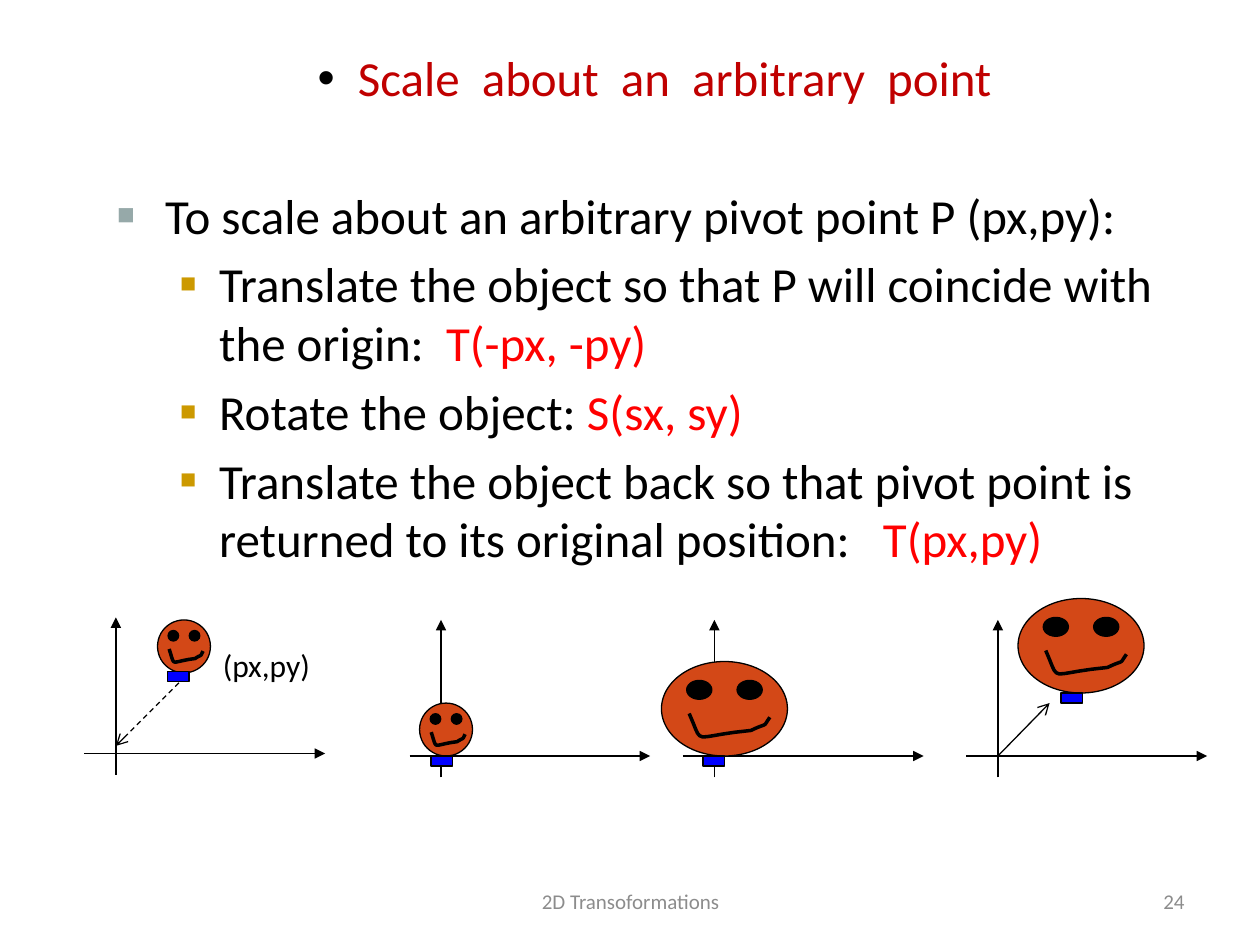
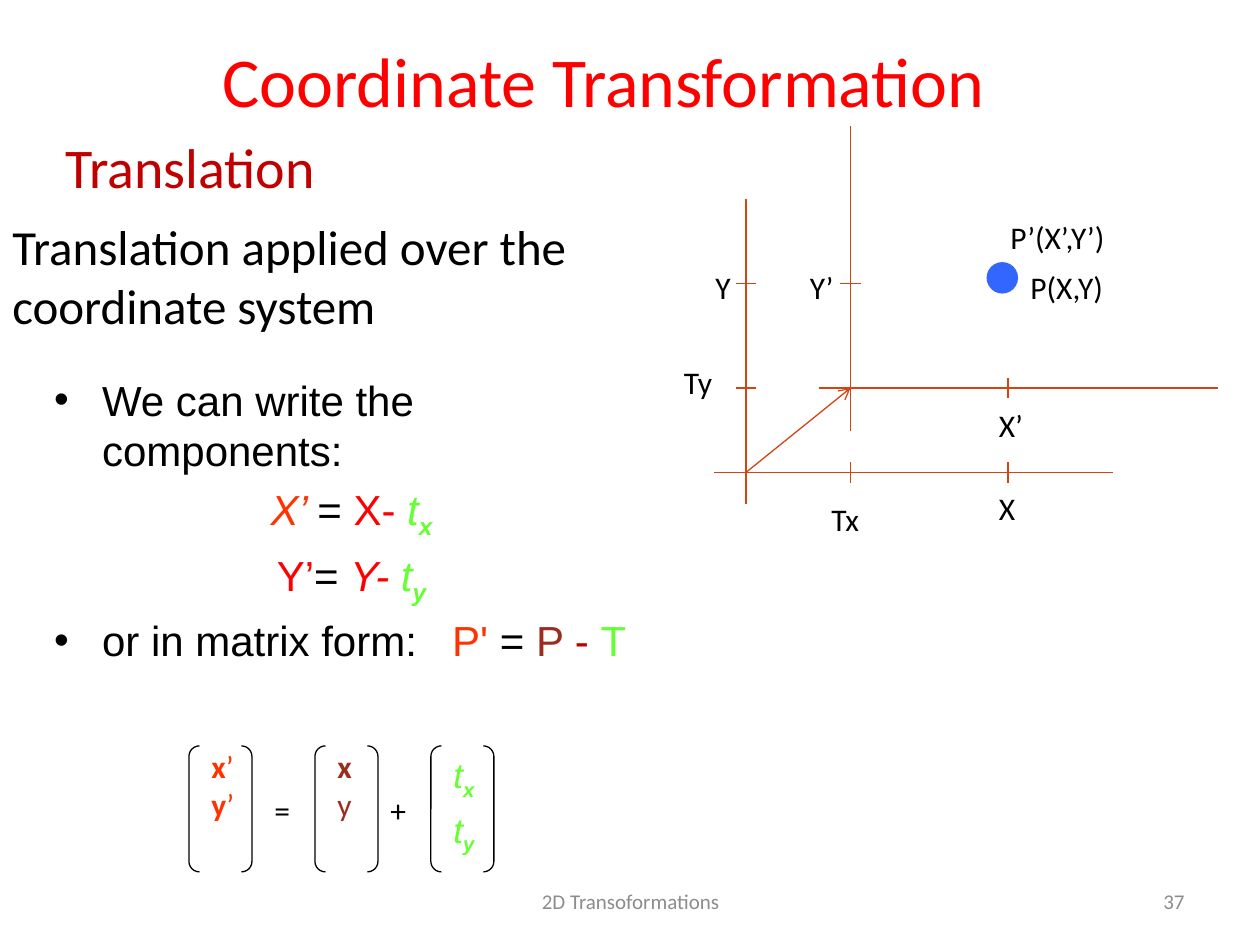
from lxml.etree import SubElement
from pptx import Presentation
from pptx.dml.color import RGBColor
from pptx.enum.dml import MSO_LINE
from pptx.enum.shapes import MSO_CONNECTOR, MSO_SHAPE
from pptx.enum.text import MSO_ANCHOR, MSO_AUTO_SIZE, PP_ALIGN
from pptx.oxml.ns import qn
from pptx.util import Inches, Pt

COLORS = {
    "black": "000000", "red": "FF0000", "dark red": "C00000", "gray": "8C8C8C",
    "face": "D34817", "neck": "0000FF", "axis": "D34412", "dot": "3366FF",
    "orange": "FF3300", "green": "66FF33", "brown": "9B2D1F",
    "gray bullet": "96A9A9", "gold bullet": "CC9900",
}
COLORS = {name: RGBColor.from_string(value) for name, value in COLORS.items()}


def write(frame, paragraphs, size, font="Calibri", align=None):
    """Fill a text frame with paragraphs of (text, color, style) spans."""
    frame.word_wrap = True
    frame.auto_size = MSO_AUTO_SIZE.NONE
    frame.vertical_anchor = MSO_ANCHOR.TOP
    for index, spans in enumerate(paragraphs):
        para = frame.add_paragraph() if index else frame.paragraphs[0]
        para.alignment = align
        for text, color, style in spans:
            span = para.add_run()
            span.text = text
            span.font.name, span.font.size = font, Pt(size)
            span.font.color.rgb = COLORS[color]
            span.font.bold = "b" in style
            span.font.italic = "i" in style
            if "sub" in style:
                span._r.get_or_add_rPr().set("baseline", "-25000")


def draw_line(page, start, end, color="black", head=None):
    """Draw a thin straight line, with an arrowhead at its end if one is named."""
    line = page.shapes.add_connector(
        MSO_CONNECTOR.STRAIGHT, *[Inches(value) for value in (*start, *end)])
    line.line.color.rgb = COLORS[color]
    line.line.width = Pt(0.75)
    if head:
        SubElement(line.line._get_or_add_ln(), qn("a:tailEnd"), type=head)
    SubElement(line._element.spPr, qn("a:effectLst"))
    return line


deck = Presentation()
deck.slide_width, deck.slide_height = Inches(10), Inches(7.5)
scale_page, translate_page = [
    deck.slides.add_slide(deck.slide_layouts[1]) for _ in range(2)]

# Titles and lists
scale_list = [
    [("To scale about an arbitrary pivot point P (px,py):", "black", "")],
    [("Translate the object so that P will coincide with the origin:  ", "black", ""),
     ("T(-px, -py)", "red", "")],
    [("Rotate the object: ", "black", ""), ("S(sx, sy)", "red", "")],
    [("Translate the object back so that pivot point is returned to its "
      "original position:   ", "black", ""), ("T(px,py)", "red", "")],
]
translate_list = [
    [("We can write the components:", "black", "")],
    [("X’ ", "orange", "i"), ("= ", "black", ""), ("X- ", "red", ""),
     ("t", "green", "i"), ("x", "green", "i sub")],
    [("Y’", "red", ""), ("= ", "black", ""), ("Y- ", "red", "i"),
     ("t", "green", "i"), ("y", "green", "i sub")],
    [("or in matrix form:   ", "black", ""), ("P' ", "orange", ""),
     ("= ", "black", ""), ("P ", "brown", ""), ("- ", "dark red", ""),
     ("T", "green", "")],
]
placeholders = [
    (scale_page.shapes.title, (2.42, 0.33, 5.83, 0.88),
     [[("Scale  about  an  arbitrary  point", "dark red", "")]], 28, "Calibri", PP_ALIGN.LEFT),
    (scale_page.placeholders[1], (0.83, 1.42, 8.5, 5.42),
     scale_list, 28, "Calibri", PP_ALIGN.LEFT),
    (translate_page.shapes.title, (1.25, 0.25, 7.08, 0.77),
     [[("Coordinate Transformation", "red", "")]], 40, "Calibri", PP_ALIGN.CENTER),
    (translate_page.placeholders[1], (0.33, 2.92, 4.92, 2.67),
     translate_list, 24, "Arial", PP_ALIGN.LEFT),
]
for holder, place, paragraphs, size, font, align in placeholders:
    holder.left, holder.top, holder.width, holder.height = [Inches(v) for v in place]
    write(holder.text_frame, paragraphs, size, font, align)

# Bullets: text indent, hanging part, sign, color, percent of the text size
title_para = scale_page.shapes.title.text_frame.paragraphs[0]
scale_paras = scale_page.placeholders[1].text_frame.paragraphs
translate_paras = translate_page.placeholders[1].text_frame.paragraphs
bullets = [(title_para, 0.32, 0.32, "•", "black", 100),
           (scale_paras[0], 0.38, 0.38, "■", "gray bullet", 60)]
for para in scale_paras[1:]:
    para.level = 1
    bullets.append((para, 0.81, 0.31, "■", "gold bullet", 55))
for para in translate_paras:
    equation = para in translate_paras[1:3]
    if equation:
        para.alignment = PP_ALIGN.CENTER
    bullets.append((para, 0.38, 0.38, None if equation else "•", "black", 100))
for para, indent, hang, sign, color, percent in bullets:
    props = para._p.get_or_add_pPr()
    props.set("marL", str(Inches(indent)))
    props.set("indent", str(-Inches(hang)))
    if sign is None:
        SubElement(props, qn("a:buNone"))
        continue
    SubElement(SubElement(props, qn("a:buClr")), qn("a:srgbClr"), val=str(COLORS[color]))
    SubElement(props, qn("a:buSzPct"), val=str(percent * 1000))
    SubElement(props, qn("a:buFont"), typeface="Arial")
    SubElement(props, qn("a:buChar"), char=sign)

# Four steps of the scaling: axes origin, head box, neck corner
steps = [
    ((0.92, 5.98), (1.25, 4.92, 0.42, 0.42), (1.33, 5.33)),
    ((3.5, 6), (3.33, 5.58, 0.42, 0.42), (3.42, 6)),
    ((5.67, 6), (5.25, 5.25, 1, 0.75), (5.58, 6)),
    ((7.92, 6), (8.08, 4.75, 1, 0.75), (8.42, 5.5)),
]
# Mouth as two Bezier curves, in fractions of the head
mouth_curves = [
    ((0.22, 0.55), (0.34, 0.91), (0.22, 0.79), (0.71, 0.73)),
    ((0.71, 0.73), (0.85, 0.64), (0.8, 0.71), (0.86, 0.59)),
]
for (x, y), (left, top, width, height), neck in steps:
    draw_line(scale_page, (x - 0.25, y), (x + 1.66, y), head="triangle")
    draw_line(scale_page, (x, y + 0.17), (x, y - 1.08), head="triangle")

    parts = [(MSO_SHAPE.OVAL, "face", (left, top, width, height))]
    for eye in (0.2, 0.6):
        parts.append((MSO_SHAPE.OVAL, "black", (
            left + eye * width, top + 0.2 * height, 0.2 * width, 0.2 * height)))
    parts.append((MSO_SHAPE.RECTANGLE, "neck", (*neck, 0.17, 0.08)))
    for kind, color, place in parts:
        part = scale_page.shapes.add_shape(kind, *[Inches(v) for v in place])
        part.shadow.inherit = False
        part.fill.solid()
        part.fill.fore_color.rgb = COLORS[color]
        part.line.color.rgb = COLORS["black"]
        part.line.width = Pt(0.75)

    points = []
    for curve in mouth_curves:
        for t in [step / 10 for step in range(11)]:
            weights = ((1 - t) ** 3, 3 * t * (1 - t) ** 2, 3 * t * t * (1 - t), t ** 3)
            across, down = [sum(w * v for w, v in zip(weights, axis)) for axis in zip(*curve)]
            points.append((Inches(left + across * width), Inches(top + down * height)))
    outline = scale_page.shapes.build_freeform(*points[0])
    outline.add_line_segments(points[1:], close=False)
    mouth = outline.convert_to_shape()
    mouth.shadow.inherit = False
    mouth.fill.background()
    mouth.line.color.rgb = COLORS["black"]
    mouth.line.width = Pt(2)

to_origin = draw_line(scale_page, (1.42, 5.42), (0.92, 5.92), head="arrow")
to_origin.line.dash_style = MSO_LINE.DASH
draw_line(scale_page, (7.92, 6), (8.33, 5.58), head="arrow")

# Two coordinate systems with their ticks
for start, end in [((5.92, 1.58), (5.92, 4)), ((5.67, 3.75), (8.83, 3.75)),
                   ((6.75, 1), (6.75, 3.42)), ((6.5, 3.08), (9.67, 3.08))]:
    draw_line(translate_page, start, end, "axis")
for x, y in [(8, 3.75), (8, 3.08), (6.75, 3.75)]:
    draw_line(translate_page, (x, y - 0.08), (x, y + 0.08), "axis")
for x, y in [(6.75, 2.25), (5.92, 2.25), (5.92, 3.08)]:
    draw_line(translate_page, (x - 0.08, y), (x + 0.08, y), "axis")
draw_line(translate_page, (5.92, 3.75), (6.75, 3.08), "axis", "arrow")

point = translate_page.shapes.add_shape(
    MSO_SHAPE.OVAL, Inches(7.83), Inches(2.08), Inches(0.25), Inches(0.25))
point.shadow.inherit = False
point.fill.solid()
point.fill.fore_color.rgb = COLORS["dot"]
point.line.fill.background()

# Headings and labels
labels = [
    (scale_page, 1.67, 5.08, 1.1, "(px,py)", 18, "black"),
    (translate_page, 0.42, 1, 3.33, "Translation", 32, "dark red"),
    (translate_page, 0, 1.67, 4.83,
     "Translation applied over the coordinate system", 28, "black"),
    (translate_page, 7.83, 3.83, 0.67, "X", 18, "black"),
    (translate_page, 5.58, 2.08, 0.42, "Y", 18, "black"),
    (translate_page, 7.83, 3.17, 0.6, "X’", 18, "black"),
    (translate_page, 6.33, 2.08, 0.58, "Y’", 18, "black"),
    (translate_page, 7.92, 1.68, 1.08, "P’(X’,Y’)", 18, "black"),
    (translate_page, 8.08, 2.08, 1.17, "P(X,Y)", 18, "black"),
    (translate_page, 6.5, 3.92, 0.5, "Tx", 18, "black"),
    (translate_page, 5.33, 2.83, 0.58, "Ty", 18, "black"),
    (translate_page, 2.08, 6.23, 0.4, "=", 18, "black"),
    (translate_page, 3, 6.23, 0.4, "+", 18, "black"),
]
for page, left, top, width, text, size, color in labels:
    box = page.shapes.add_textbox(Inches(left), Inches(top), Inches(width), Inches(0.4))
    write(box.text_frame, [[(text, color, "")]], size)

# Column vectors in brackets
vectors = [
    (1.5, 5.88, 18, "Calibri", [[("x", "orange", "b"), ("’", "orange", "")],
                                [("y", "orange", "b"), ("’", "orange", "")]]),
    (2.5, 5.88, 18, "Calibri", [[("x", "brown", "b")], [("y", "brown", "")]]),
    (3.42, 5.93, 20, "Arial", [[("t", "green", "i"), ("x", "green", "i sub")],
                               [("t", "green", "i"), ("y", "green", "i sub")]]),
]
for left, top, size, font, rows in vectors:
    bracket = translate_page.shapes.add_shape(
        MSO_SHAPE.DOUBLE_BRACKET, Inches(left), Inches(5.92), Inches(0.5), Inches(1))
    bracket.shadow.inherit = False
    bracket.fill.background()
    bracket.line.color.rgb = COLORS["black"]
    bracket.line.width = Pt(0.75)
    box = translate_page.shapes.add_textbox(
        Inches(left + 0.08), Inches(top), Inches(0.55), Inches(0.8))
    write(box.text_frame, rows, size, font)
    if font == "Arial":
        for para in box.text_frame.paragraphs:
            para.space_before = Pt(4)

# Footers
for page, number in ((scale_page, "24"), (translate_page, "37")):
    for left, width, text, align in (
            (3.42, 3.17, "2D Transoformations", PP_ALIGN.CENTER),
            (7.17, 2.33, number, PP_ALIGN.RIGHT)):
        box = page.shapes.add_textbox(Inches(left), Inches(6.95), Inches(width), Inches(0.4))
        write(box.text_frame, [[(text, "gray", "")]], 12, align=align)
        box.text_frame.vertical_anchor = MSO_ANCHOR.MIDDLE

deck.save("out.pptx")
